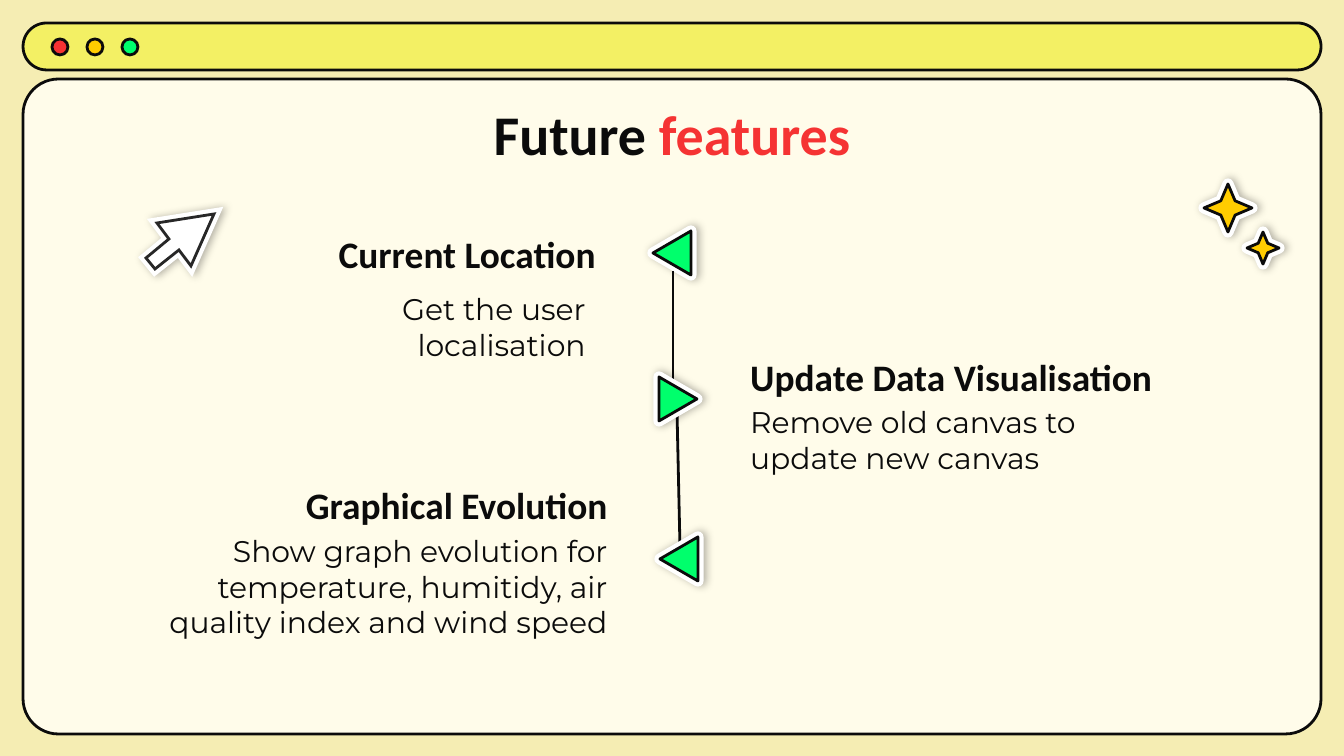
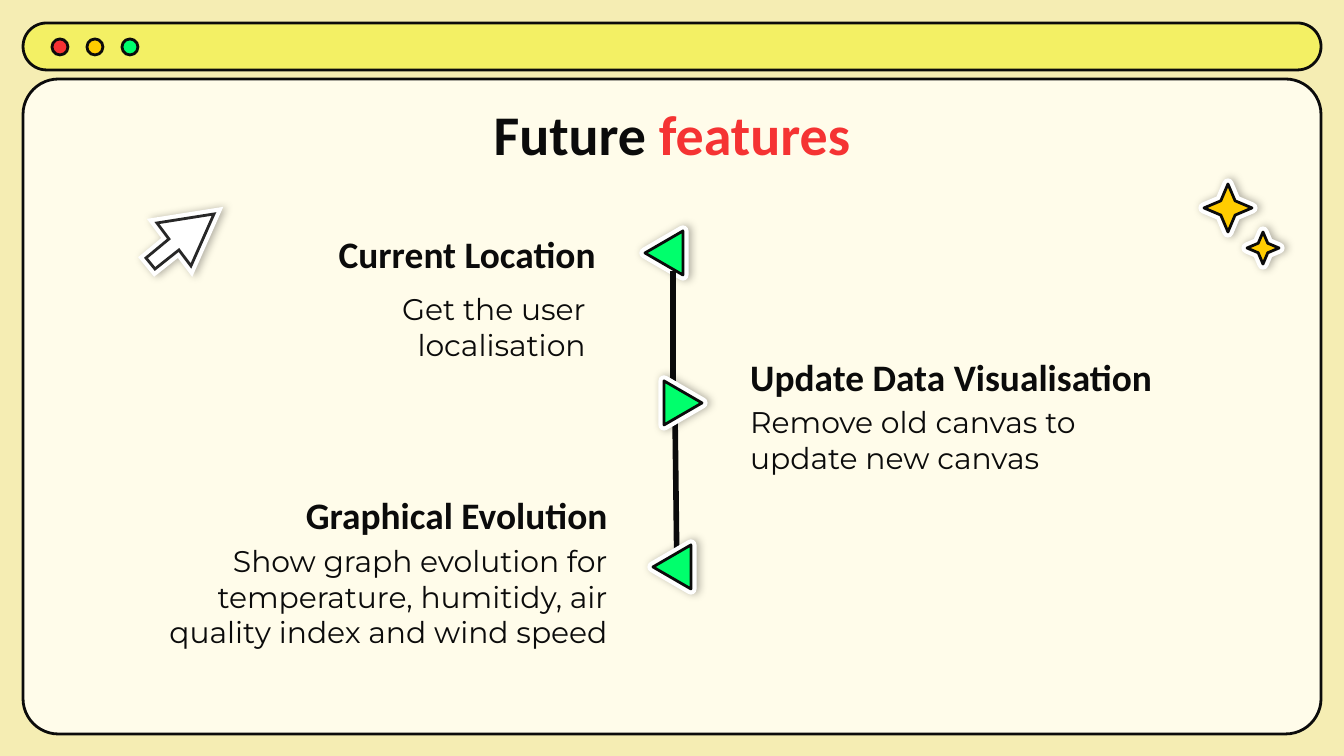
from dataclasses import dataclass

from lxml import etree
from pptx import Presentation
from pptx import util as u
from pptx.dml.color import RGBColor
from pptx.enum import shapes, text
from pptx.oxml.ns import qn

# ---- Content ----
TITLE = [("Future ", "ink"), ("features", "red")]
LEFT, RIGHT = text.PP_ALIGN.LEFT, text.PP_ALIGN.RIGHT

# heading, heading (left, top, width), body, body (left, top, width), alignment
FIXED_FEATURES = [
    ("Current Location", (253, 226, 356),
     "Get the user localisation", (243, 277, 356), RIGHT),
    ("Update Data Visualisation", (737, 349, 534),
     "Remove old canvas to update new canvas", (737, 390, 415), LEFT),
]


def graph_feature(top):
    return ("Graphical Evolution", (151, top, 470),
            "Show graph evolution for temperature, humitidy, air quality index and wind speed",
            (106, top + 42, 515), RIGHT)


# Marker positions run down the timeline, pointing left, right, left
TIMELINES = [
    dict(features=FIXED_FEATURES + [graph_feature(477)],
         markers=[(650, 234), (656, 380), (657, 540)],
         lines=[(673, 271, 673, 395), (677, 410, 680, 547)], weight=1.5),
    dict(features=FIXED_FEATURES + [graph_feature(487)],
         markers=[(642, 234), (661, 384), (650, 548)],
         lines=[(673, 271, 673, 395), (675, 411, 677, 575)], weight=3),
]
MARKER_ROTATIONS = (270, 90, 270)
MARKER_SIZE = (44, 38)
STARS = [(1204, 184, 48), (1247, 232, 32)]  # left, top, side
POINTER = [(179, 250), (191, 266), (214, 214), (157, 223),
           (169, 239), (146, 258), (155, 269)]
WINDOW = [((23, 79, 1298, 655), 0.054, "panel"), ((23, 23, 1298, 47), 0.5, "bar")]
DOT_COLORS = ("red", "yellow", "green")
DOT_LEFT, DOT_TOP, DOT_SIZE, DOT_STEP = 52, 39, 16, 35


# ---- Theme ----
@dataclass(frozen=True)
class Theme:
    backdrop: str = "F5EDB3"
    panel: str = "FFFCEA"
    bar: str = "F3F064"
    ink: str = "0B0B0B"
    pointer: str = "272727"
    white: str = "FFFFFF"
    red: str = "F53333"
    yellow: str = "FFCC00"
    green: str = "00FF6C"
    heading_font: str = "Calibri"
    body_font: str = "Montserrat"
    title_size: int = 30
    heading_size: int = 20
    body_size: int = 16
    outline: float = 1.5
    halo: float = 6

    def color(self, name):
        return RGBColor.from_string(getattr(self, name))


THEME = Theme()
SCALE = 914400 / 134.4


def px(value):
    return u.Emu(round(value * SCALE))


def box(*values):
    return [px(value) for value in values]


# ---- Shapes ----
def paint(shape, fill, line="ink", weight=THEME.outline):
    shape.shadow.inherit = False
    shape.fill.solid()
    shape.fill.fore_color.rgb = THEME.color(fill)
    shape.line.color.rgb = THEME.color(line)
    shape.line.width = u.Pt(weight)


def add_soft_shadow(shape):
    effects = shape.element.spPr.find(qn("a:effectLst"))
    shadow = etree.SubElement(effects, qn("a:outerShdw"), blurRad=str(u.Pt(4.5)),
                              dist=str(u.Pt(1.5)), dir="0", rotWithShape="0")
    color = etree.SubElement(shadow, qn("a:srgbClr"), val="000000")
    etree.SubElement(color, qn("a:alpha"), val="29000")


def add_sticker(slide, make_shape, fill, line="ink"):
    """Group an outlined shape with a white, shadowed halo behind it."""
    group = slide.shapes.add_group_shape()
    halo = make_shape(group.shapes)
    paint(halo, "white", "white", THEME.halo)
    add_soft_shadow(halo)
    paint(make_shape(group.shapes), fill, line)


def add_marker(slide, position, rotation):
    def triangle(tree):
        shape = tree.add_shape(shapes.MSO_SHAPE.ISOSCELES_TRIANGLE,
                               *box(*position, *MARKER_SIZE))
        shape.rotation = rotation
        return shape
    add_sticker(slide, triangle, "green")


def add_star(slide, left, top, side):
    def star(tree):
        shape = tree.add_shape(shapes.MSO_SHAPE.STAR_4_POINT, *box(left, top, side, side))
        shape.adjustments[0] = 0.21
        return shape
    add_sticker(slide, star, "yellow")


def add_pointer(slide):
    def arrow(tree):
        builder = tree.build_freeform(*POINTER[0], scale=SCALE)
        builder.add_line_segments(POINTER[1:], close=True)
        shape = builder.convert_to_shape()
        shape.line.color.rgb = THEME.color("white")
        etree.SubElement(shape.line._get_or_add_ln(), qn("a:miter"), lim="800000")
        return shape
    add_sticker(slide, arrow, "white", "pointer")


def add_line(slide, ends, weight):
    connector = slide.shapes.add_connector(shapes.MSO_CONNECTOR.STRAIGHT, *box(*ends))
    connector.line.color.rgb = THEME.color("ink")
    connector.line.width = u.Pt(weight)
    etree.SubElement(connector.element.spPr, qn("a:effectLst"))


# ---- Text ----
def set_frame(frame, anchor):
    frame.word_wrap = True
    frame.auto_size = text.MSO_AUTO_SIZE.NONE
    frame.vertical_anchor = anchor
    frame.margin_left = frame.margin_right = u.Inches(0.1)
    frame.margin_top = frame.margin_bottom = u.Inches(0.1)


def style_run(run, font, size, bold=False, color="ink"):
    run.font.name, run.font.size, run.font.bold = font, u.Pt(size), bold
    run.font.color.rgb = THEME.color(color)


def add_text(slide, words, place, height, anchor, align, *style):
    frame = slide.shapes.add_textbox(*box(*place, height)).text_frame
    set_frame(frame, anchor)
    frame.text = words
    paragraph = frame.paragraphs[0]
    paragraph.alignment = align
    style_run(paragraph.runs[0], *style)


def add_feature(slide, heading, heading_place, body, body_place, align):
    add_text(slide, heading, heading_place, 63, text.MSO_ANCHOR.BOTTOM, align,
             THEME.heading_font, THEME.heading_size, True)
    add_text(slide, body, body_place, 89, text.MSO_ANCHOR.TOP, align,
             THEME.body_font, THEME.body_size)


def set_title(slide):
    title = slide.shapes.title
    title.left, title.top, title.width, title.height = box(106, 86, 1132, 85)
    set_frame(title.text_frame, text.MSO_ANCHOR.TOP)
    paragraph = title.text_frame.paragraphs[0]
    paragraph.alignment = text.PP_ALIGN.CENTER
    for words, color in TITLE:
        run = paragraph.add_run()
        run.text = words
        style_run(run, THEME.heading_font, THEME.title_size, True, color)


# ---- Shared window frame, kept on the layout ----
def draw_window(layout, slide):
    layout.background.fill.solid()
    layout.background.fill.fore_color.rgb = THEME.color("backdrop")
    parts = []
    for place, rounding, fill in WINDOW:
        shape = slide.shapes.add_shape(shapes.MSO_SHAPE.ROUNDED_RECTANGLE, *box(*place))
        shape.adjustments[0] = rounding
        paint(shape, fill)
        parts.append(shape)
    for index, fill in enumerate(DOT_COLORS):
        dot = slide.shapes.add_shape(
            shapes.MSO_SHAPE.OVAL,
            *box(DOT_LEFT + index * DOT_STEP, DOT_TOP, DOT_SIZE, DOT_SIZE))
        paint(dot, fill)
        parts.append(dot)
    for shape in parts:
        layout.shapes.element.append(shape.element)


# ---- Slides ----
def fill_slide(slide, timeline):
    set_title(slide)
    for feature in timeline["features"]:
        add_feature(slide, *feature)
    first, *others = zip(timeline["markers"], MARKER_ROTATIONS)
    add_marker(slide, *first)
    for ends in timeline["lines"]:
        add_line(slide, ends, timeline["weight"])
    for marker in others:
        add_marker(slide, *marker)
    add_pointer(slide)
    for star in STARS:
        add_star(slide, *star)


def main():
    presentation = Presentation()
    presentation.slide_width, presentation.slide_height = box(1344, 756)
    layout = presentation.slide_layouts[5]
    slides = [presentation.slides.add_slide(layout) for _ in TIMELINES]
    draw_window(layout, slides[0])
    for slide, timeline in zip(slides, TIMELINES):
        fill_slide(slide, timeline)
    presentation.save("out.pptx")


if __name__ == "__main__":
    main()
